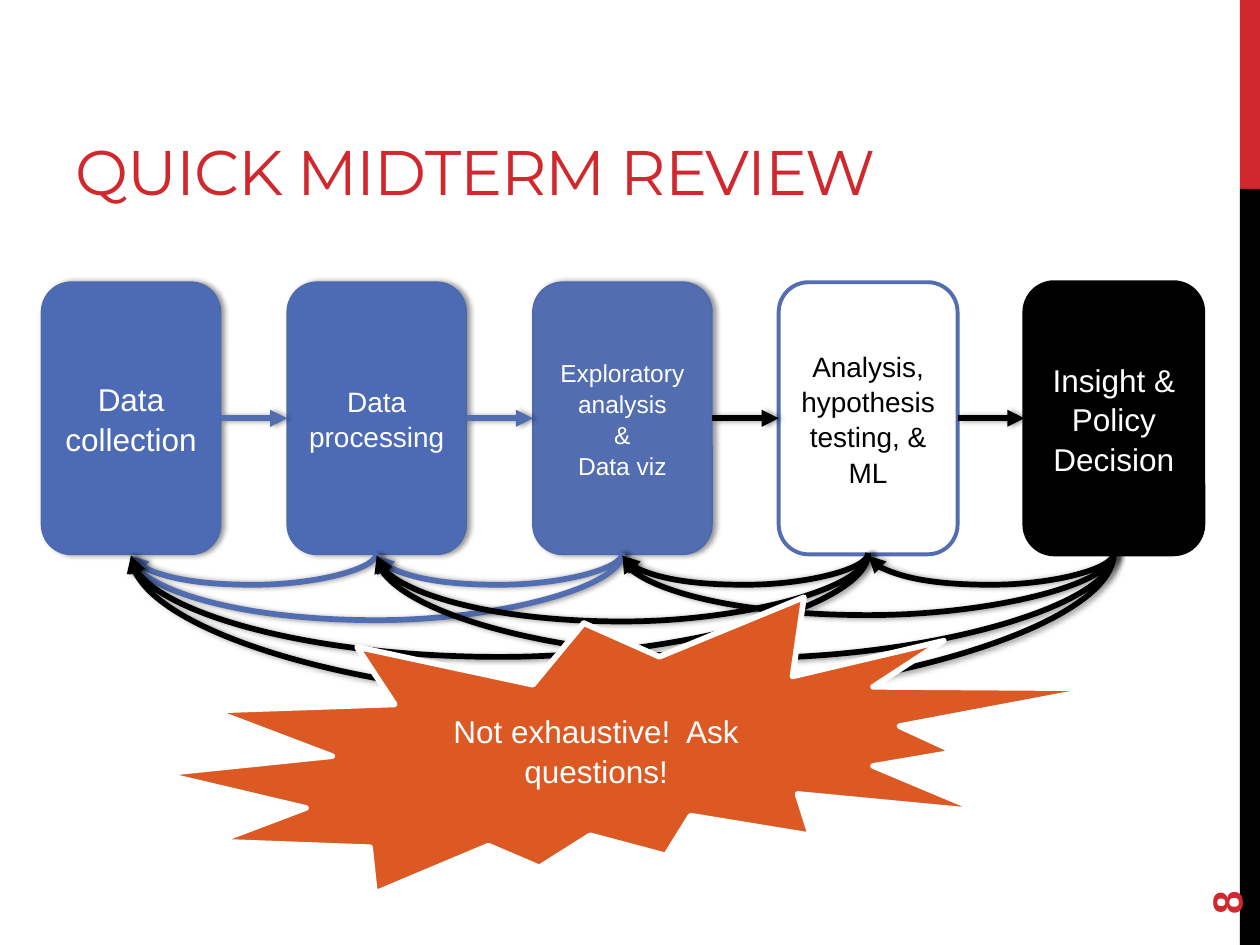
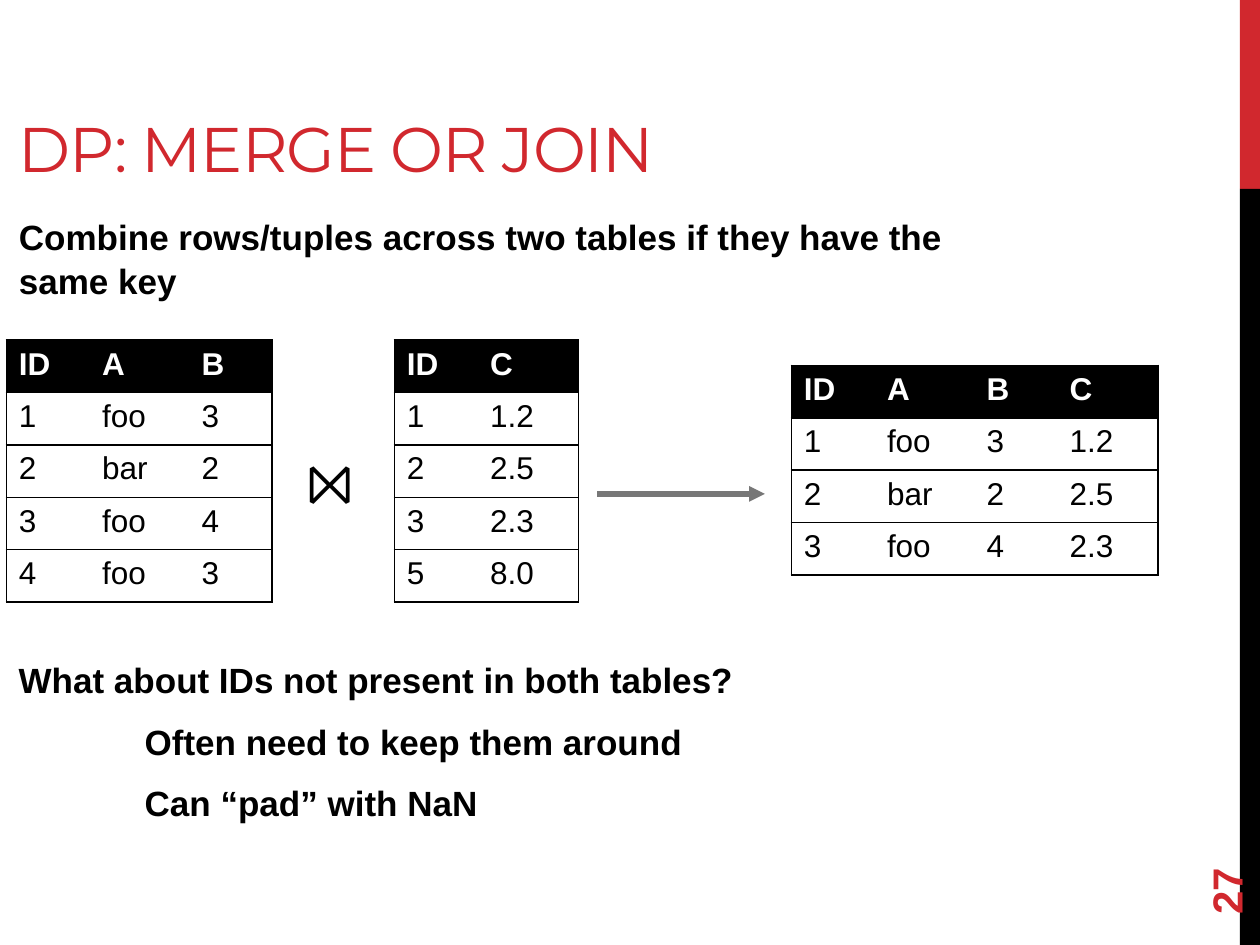
import lxml.etree
import pptx
import pptx.dml.color
import pptx.enum.shapes
import pptx.enum.text
import pptx.oxml.ns
import pptx.util
from dataclasses import dataclass

REVIEW = {
    "title": "QUICK MIDTERM REVIEW",
    "title_frame": (0.5, 0.17, 8.35, 1.5),
    "number": "8",
    "warning": "Not exhaustive!  Ask questions!",
}
STAGES = [
    (["Data collection"], 18, "blue"),
    (["Data processing"], 16, "blue"),
    (["Exploratory analysis", "&", "Data viz"], 14, "muted"),
    (["Analysis, hypothesis testing, & ML"], 16, "open"),
    (["Insight & Policy Decision"], 18, "dark"),
]
FEEDBACK = {
    1: [(0, 0.25)],
    2: [(1, 0.25), (0, 0.53)],
    3: [(2, 0.25), (1, 0.54), (0, 0.82)],
    4: [(3, 0.25), (2, 0.49), (1, 0.83), (0, 1.16)],
}

MERGE = {
    "title": "DP: MERGE OR JOIN",
    "title_frame": (0.05, -0.01, 9.64, 1.5),
    "number": "27",
    "summary": [("Combine rows/tuples across two tables if they have the same key", 0)],
    "operator": "⨝",
    "missing": [
        ("What about IDs not present in both tables?", 0),
        ("Often need to keep them around", 1),
        ("Can “pad” with NaN", 1),
    ],
}
RELATIONS = [
    ((0.05, 2.7), ["ID A B", "1 foo 3", "2 bar 2", "3 foo 4", "4 foo 3"]),
    ((3.13, 2.7), ["ID C", "1 1.2", "2 2.5", "3 2.3", "5 8.0"]),
    ((6.28, 2.9), ["ID A B C", "1 foo 3 1.2", "2 bar 2 2.5", "3 foo 4 2.3"]),
]
COLUMN_WIDTHS = {"ID": 0.66, "A": 0.79, "B": 0.66, "C": 0.8}
ROW_HEIGHT = 0.416


@dataclass(frozen=True)
class Theme:
    red: str = "D1282E"
    black: str = "000000"
    white: str = "FFFFFF"
    blue: str = "4D6BB5"
    muted: str = "526DB0"
    edge: str = "4E6AAE"
    orange: str = "DC5924"
    grey: str = "777777"
    heading_font: str = "Montserrat"
    body_font: str = "Arial"
    title_size: int = 36
    operator_size: int = 32
    number_size: int = 24
    body_size: int = 20
    label_size: int = 18
    leading: float = 1.05


T = Theme()
STAGE_LOOKS = {
    "blue": (T.blue, T.edge, 1, T.white, True),
    "muted": (T.muted, T.edge, 1, T.white, True),
    "open": (T.white, T.muted, 2.25, T.black, False),
    "dark": (T.black, T.black, 2.25, T.white, False),
}
WIDTH, HEIGHT = 10, 7.5
BAND_WIDTH, BAND_SPLIT = 0.16, HEIGHT / 5
STAGE_LEFT, STAGE_TOP, STAGE_STEP = 0.33, 2.24, 1.95
STAGE_WIDTH, STAGE_HEIGHT = 1.42, 2.16
ARC_DROP = 0.02

SHAPE = pptx.enum.shapes.MSO_SHAPE
CONNECTOR = pptx.enum.shapes.MSO_CONNECTOR
ANCHOR = pptx.enum.text.MSO_ANCHOR
CENTER = pptx.enum.text.PP_ALIGN.CENTER
LEFT = pptx.enum.text.PP_ALIGN.LEFT
Pt = pptx.util.Pt
qn = pptx.oxml.ns.qn


def inches(*lengths):
    return [pptx.util.Inches(length) for length in lengths]


def rgb(code):
    return pptx.dml.color.RGBColor.from_string(code)


def child(parent, tag, **attributes):
    return lxml.etree.SubElement(
        parent, qn(tag), {key: str(value) for key, value in attributes.items()})


def style(paragraph, size, color, bold=False, font=T.body_font, align=LEFT):
    paragraph.alignment = align
    paragraph.font.size = Pt(size)
    paragraph.font.bold = bold
    paragraph.font.name = font
    paragraph.font.color.rgb = rgb(color)


def write(frame, lines, size, color, **options):
    frame.word_wrap = True
    for index, line in enumerate(lines):
        paragraph = frame.add_paragraph() if index else frame.paragraphs[0]
        paragraph.text = line
        paragraph.line_spacing = T.leading
        style(paragraph, size, color, **options)


def write_points(frame, points):
    frame.word_wrap = True
    for index, (line, level) in enumerate(points):
        paragraph = frame.add_paragraph() if index else frame.paragraphs[0]
        paragraph.text = line
        paragraph.line_spacing = T.leading
        paragraph.space_before = Pt(0.2 * T.body_size if index else 0)
        paragraph.space_after = Pt(6)
        properties = paragraph._p.get_or_add_pPr()
        properties.set("marL", str(inches(level)[0]))
        properties.set("indent", "0")
        child(properties, "a:buNone")
        style(paragraph, T.body_size, T.black, bold=True)


def cast_shadow(properties):
    effects = properties.find(qn("a:effectLst"))
    if effects is None:
        effects = child(properties, "a:effectLst")
    shadow = child(effects, "a:outerShdw", blurRad=Pt(3.1), dist=Pt(1.8),
                   dir=0, algn="l", rotWithShape=0)
    color = child(shadow, "a:srgbClr", val=T.black)
    child(color, "a:alpha", val=40000)


def add_block(slide, kind, frame, fill, edge=None, weight=1):
    block = slide.shapes.add_shape(kind, *inches(*frame))
    block.shadow.inherit = False
    block.fill.solid()
    block.fill.fore_color.rgb = rgb(fill)
    if edge:
        block.line.color.rgb = rgb(edge)
        block.line.width = Pt(weight)
    else:
        block.line.fill.background()
    return block


def add_arrow(slide, start, end, color, weight=3.25, shadow=True, kind=CONNECTOR.STRAIGHT):
    arrow = slide.shapes.add_connector(kind, *inches(*start, *end))
    arrow.line.color.rgb = rgb(color)
    arrow.line.width = Pt(weight)
    properties = arrow.element.spPr
    child(properties.find(qn("a:ln")), "a:tailEnd", type="triangle")
    if shadow:
        cast_shadow(properties)
    else:
        child(properties, "a:effectLst")
    return arrow


def add_feedback_arc(slide, source, target, depth, color):
    middle_x = STAGE_LEFT + STAGE_WIDTH / 2 + STAGE_STEP * (source + target) / 2
    middle_y = STAGE_TOP + STAGE_HEIGHT
    span = STAGE_STEP * (source - target)
    left, top = middle_x - ARC_DROP / 2, middle_y - span / 2
    arc = add_arrow(slide, (left, top), (left + ARC_DROP, top + span), color,
                    kind=CONNECTOR.CURVE)
    properties = arc.element.spPr
    properties.find(qn("a:xfrm")).set("rot", str(90 * 60000))
    geometry = properties.find(qn("a:prstGeom"))
    adjustments = geometry.find(qn("a:avLst"))
    if adjustments is None:
        adjustments = child(geometry, "a:avLst")
    child(adjustments, "a:gd", name="adj1", fmla=f"val {round(depth / ARC_DROP * 100000)}")


def add_bands(slide, master):
    left = WIDTH - BAND_WIDTH
    for top, height, color in ((0, BAND_SPLIT, T.red), (BAND_SPLIT, HEIGHT - BAND_SPLIT, T.black)):
        band = add_block(slide, SHAPE.RECTANGLE, (left, top, BAND_WIDTH, height), color)
        master.shapes.element.append(band.element)


def place(shape, frame):
    shape.left, shape.top, shape.width, shape.height = inches(*frame)


def start_slide(deck, layout, content):
    slide = deck.slides.add_slide(deck.slide_layouts[layout])
    title = slide.shapes.title
    place(title, content["title_frame"])
    title.text_frame.text = content["title"]
    title.text_frame.vertical_anchor = ANCHOR.BOTTOM
    title.text_frame.margin_bottom = inches(0.02)[0]
    heading = title.text_frame.paragraphs[0]
    style(heading, T.title_size, T.red, font=T.heading_font)
    heading._p.pPr.find(qn("a:defRPr")).set("spc", "-60")
    number = slide.shapes.add_textbox(*inches(9, 6.44, 1.44, 0.4))
    number.rotation = 270
    number.text_frame.vertical_anchor = ANCHOR.MIDDLE
    write(number.text_frame, [content["number"]], T.number_size, T.red, bold=True)
    return slide


def build_review(deck):
    slide = start_slide(deck, 5, REVIEW)
    add_bands(slide, deck.slide_master)
    previous = None
    for index, (lines, size, look) in enumerate(STAGES):
        fill, edge, weight, ink, shadow = STAGE_LOOKS[look]
        left = STAGE_LEFT + index * STAGE_STEP
        stage = add_block(slide, SHAPE.ROUNDED_RECTANGLE,
                          (left, STAGE_TOP, STAGE_WIDTH, STAGE_HEIGHT), fill, edge, weight)
        if shadow:
            cast_shadow(stage.element.spPr)
        stage.text_frame.vertical_anchor = ANCHOR.MIDDLE
        write(stage.text_frame, lines, size, ink, align=CENTER)
        flow = T.muted if index < 3 else T.black
        if previous is not None:
            middle = STAGE_TOP + STAGE_HEIGHT / 2
            step = add_arrow(slide, (left - STAGE_STEP + STAGE_WIDTH, middle), (left, middle), flow)
            step.begin_connect(previous, 3)
            step.end_connect(stage, 1)
        for target, depth in FEEDBACK.get(index, []):
            add_feedback_arc(slide, index, target, depth, flow)
        previous = stage
    warning = add_block(slide, SHAPE.EXPLOSION2, (1.28, 4.74, 7.45, 2.35), T.orange, T.white, 3.25)
    warning.text_frame.vertical_anchor = ANCHOR.MIDDLE
    write(warning.text_frame, [REVIEW["warning"]], T.label_size, T.white, align=CENTER)


def rule_cell(cell, visible_sides):
    properties = cell._tc.get_or_add_tcPr()
    for side in "LRTB":
        border = child(properties, f"a:ln{side}", w=Pt(1))
        if side in visible_sides:
            child(child(border, "a:solidFill"), "a:srgbClr", val=T.black)
        else:
            child(border, "a:noFill")


def add_relation(slide, corner, rows):
    records = [row.split() for row in rows]
    widths = [COLUMN_WIDTHS[name] for name in records[0]]
    relation = slide.shapes.add_table(
        len(records), len(widths), *inches(*corner, sum(widths), ROW_HEIGHT * len(records))).table
    relation.horz_banding = False
    for column, width in zip(relation.columns, widths):
        column.width = inches(width)[0]
    for r, record in enumerate(records):
        for c, value in enumerate(record):
            cell = relation.cell(r, c)
            cell.text = value
            header = r == 0
            style(cell.text_frame.paragraphs[0], T.label_size,
                  T.white if header else T.black, bold=header)
            rule_cell(cell, "TB" + "L" * (c == 0) + "R" * (c == len(widths) - 1))
            cell.fill.solid()
            cell.fill.fore_color.rgb = rgb(T.black if header else T.white)


def build_merge(deck):
    slide = start_slide(deck, 1, MERGE)
    summary = slide.placeholders[1]
    place(summary, (0.05, 1.64, 7.97, 0.82))
    write_points(summary.text_frame, MERGE["summary"])
    for corner, rows in RELATIONS:
        add_relation(slide, corner, rows)
    add_arrow(slide, (4.74, 3.92), (6.07, 3.92), T.grey, 3, shadow=False)
    operator = slide.shapes.add_textbox(*inches(2.34, 3.48, 0.73, 0.64))
    write(operator.text_frame, [MERGE["operator"]], T.operator_size, T.black)
    missing = slide.shapes.add_textbox(*inches(0.05, 5.16, 7.97, 1.94))
    write_points(missing.text_frame, MERGE["missing"])


def main():
    deck = pptx.Presentation()
    deck.slide_width, deck.slide_height = inches(WIDTH, HEIGHT)
    build_review(deck)
    build_merge(deck)
    deck.save("out.pptx")


if __name__ == "__main__":
    main()
